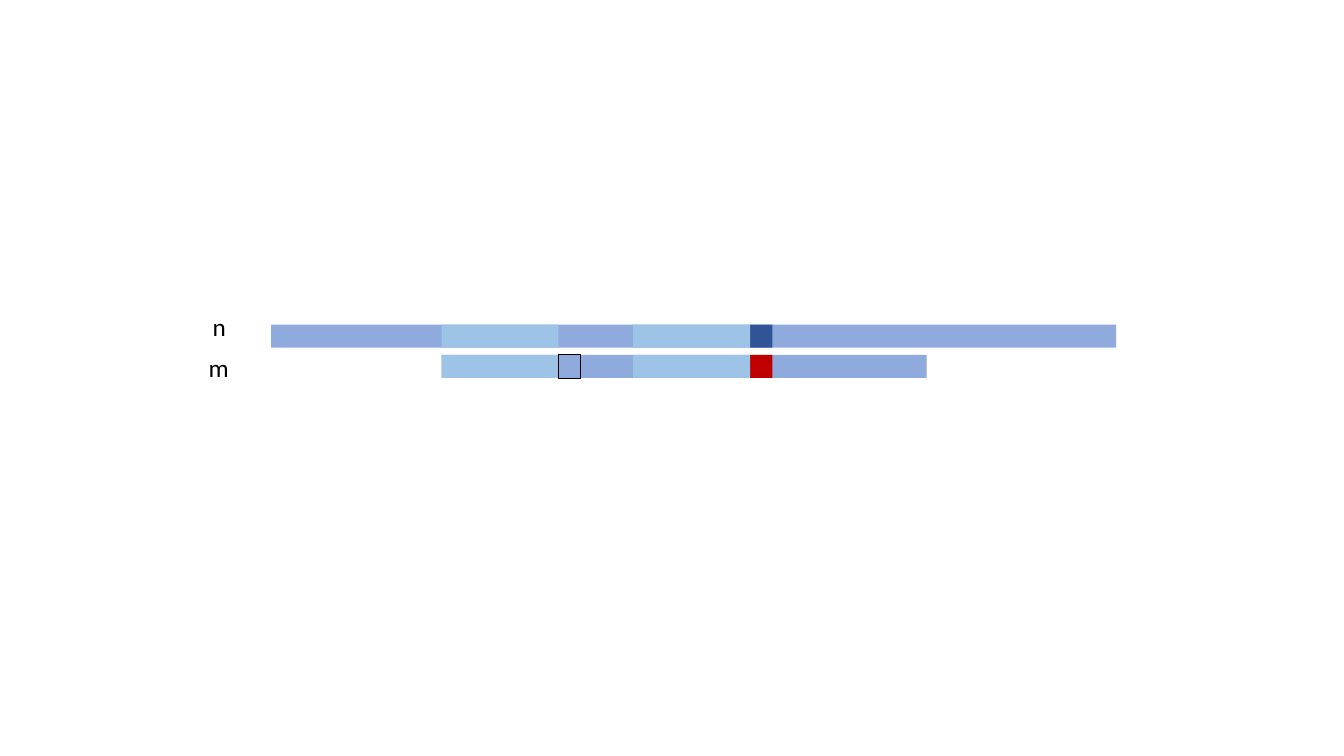
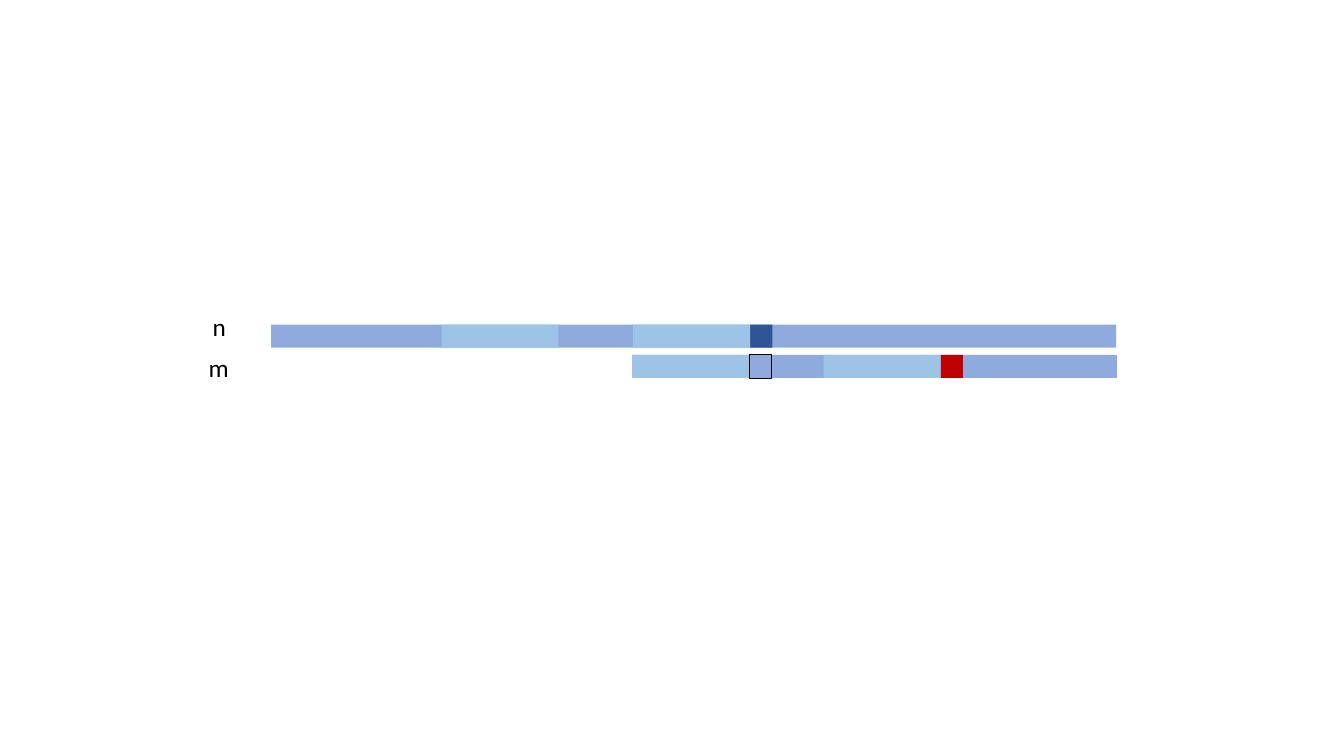
from pptx import Presentation
from pptx.dml.color import RGBColor
from pptx.enum.shapes import MSO_SHAPE as Shape
from pptx.enum.text import MSO_AUTO_SIZE as AutoSize
from pptx.util import Inches, Pt

COLORS = {
    "string": "8FAADC",
    "match": "9DC3E6",
    "text_char": "2F5597",
    "mismatch": "C00000",
    "ink": "000000",
}
FONT = "Calibri"

# Rows and segments, in inches
TEXT_LEFT, TEXT_TOP, TEXT_WIDTH = 2.69, 3.22, 8.38
PATTERN_TOP, PATTERN_WIDTH = 3.52, 4.81
BAR_HEIGHT, CHAR_WIDTH, MATCH_WIDTH = 0.23, 0.22, 1.16
SECOND_MATCH = 1.9                            # offset from the first match
BAD_CHAR = SECOND_MATCH + MATCH_WIDTH         # offset of the mismatch
FIRST_ALIGNMENT = 4.38
PATTERN_LEFTS = [FIRST_ALIGNMENT, 6.27]       # one alignment per slide
LABELS = [("m", 1.97, 3.45, 0.4), ("n", 2.01, 3.04, 0.34)]


def add_bar(page, left, top, width, color, outlined=False):
    bar = page.shapes.add_shape(Shape.RECTANGLE, Inches(left), Inches(top),
                                Inches(width), Inches(BAR_HEIGHT))
    bar.shadow.inherit = False
    bar.fill.solid()
    bar.fill.fore_color.rgb = RGBColor.from_string(COLORS[color])
    if outlined:
        bar.line.color.rgb = RGBColor.from_string(COLORS["ink"])
        bar.line.width = Pt(0.5)
    else:
        bar.line.fill.background()


deck = Presentation()
deck.slide_width, deck.slide_height = Inches(13.33), Inches(7.5)

for pattern_left in PATTERN_LEFTS:
    page = deck.slides.add_slide(deck.slide_layouts[6])

    # Full strings
    add_bar(page, TEXT_LEFT, TEXT_TOP, TEXT_WIDTH, "string")
    add_bar(page, pattern_left, PATTERN_TOP, PATTERN_WIDTH, "string")

    # Matching stretches and the differing character in each row
    for left, top, char_color in [(FIRST_ALIGNMENT, TEXT_TOP, "text_char"),
                                  (pattern_left, PATTERN_TOP, "mismatch")]:
        add_bar(page, left + BAD_CHAR, top, CHAR_WIDTH, char_color)
        for offset in (0, SECOND_MATCH):
            add_bar(page, left + offset, top, MATCH_WIDTH, "match")

    # Row labels
    for label, left, top, width in LABELS:
        box = page.shapes.add_textbox(Inches(left), Inches(top),
                                      Inches(width), Inches(0.4))
        box.text_frame.word_wrap = False
        box.text_frame.auto_size = AutoSize.SHAPE_TO_FIT_TEXT
        span = box.text_frame.paragraphs[0].add_run()
        span.text = label
        span.font.name = FONT
        span.font.size = Pt(18)
        span.font.color.rgb = RGBColor.from_string(COLORS["ink"])

    # Character after the matching prefix
    add_bar(page, pattern_left + MATCH_WIDTH, PATTERN_TOP, CHAR_WIDTH,
            "string", outlined=True)

deck.save("out.pptx")
